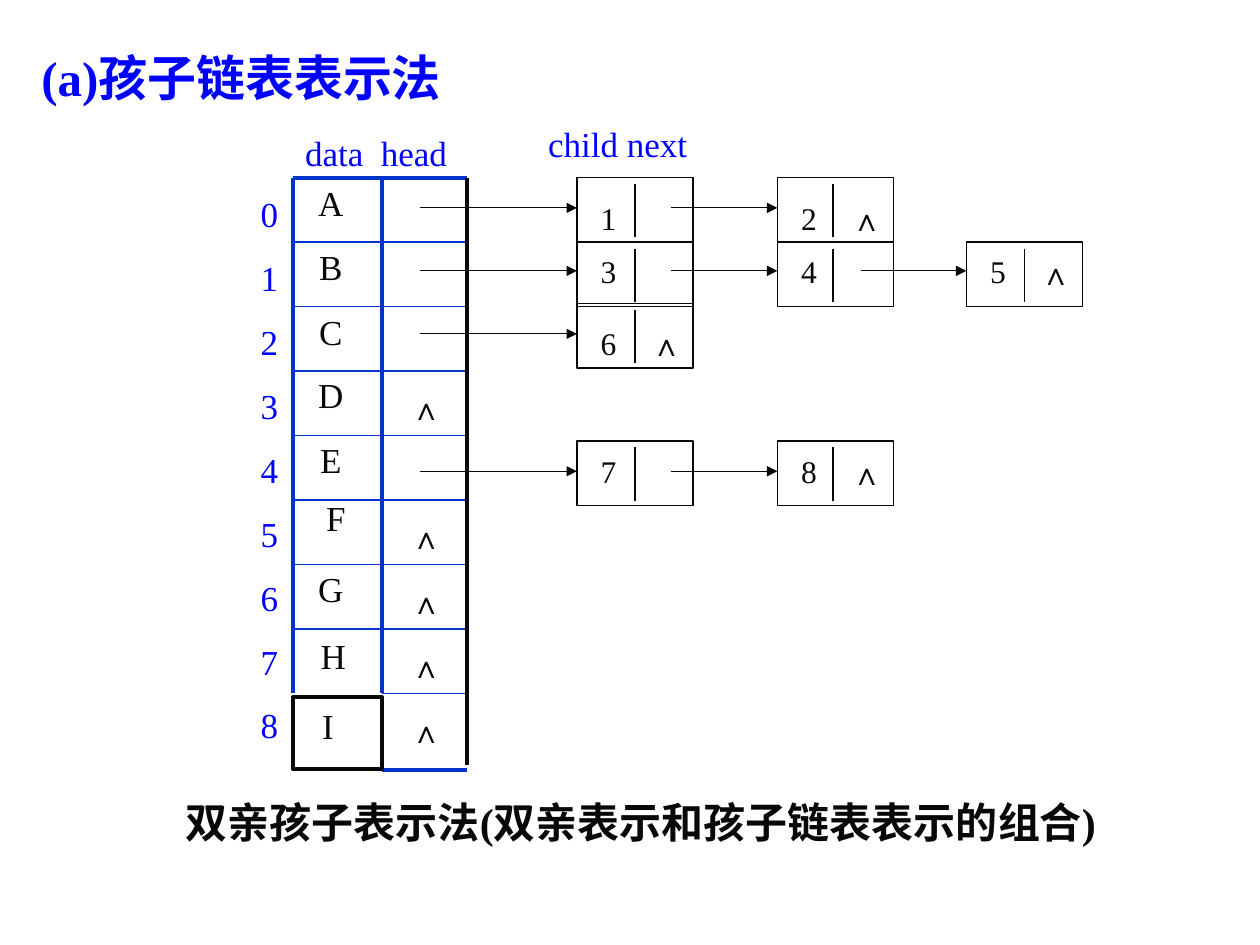
import lxml.etree
import pptx
import pptx.dml.color
import pptx.enum.shapes
import pptx.enum.text
import pptx.oxml.ns
import pptx.util

Cm, Pt = pptx.util.Cm, pptx.util.Pt
PP_ALIGN = pptx.enum.text.PP_ALIGN
BLUE, LINE_BLUE, BLACK = "0000FF", "0033CC", "080808"
THICK, MEDIUM, THIN = 2.25, 1, 0.75

TITLE = "(a)孩子链表表示法"
CAPTION = "双亲孩子表示法(双亲表示和孩子链表表示的组合)"
HEADINGS = [("data  head", 5.9, 2.52, 6.73), ("child next", 10.8, 2.34, 5.05)]
NULL = "∧"

# letter, horizontal and vertical shift from the usual place in its row
ENTRIES = [("A", 0, 0), ("B", 0, 0), ("C", 0, 0), ("D", 0, -0.03), ("E", 0, -0.02),
           ("F", 0.1, -0.14), ("G", 0, -0.02), ("H", 0.05, 0.03), ("I", -0.06, 0.15)]

# entry: children, node top, arrow height, shift of the text in the nodes
CHAINS = {
    0: (["1", "2"], 3.58, 4.19, 0.3),
    1: (["3", "4", "5"], 4.88, 5.46, 0.08),
    2: (["6"], 6.12, 6.73, 0.28),
    4: (["7", "8"], 8.89, 9.5, 0.1),
}
# node left, then divider and next pointer measured from it
NODE_PLACES = [(11.63, 1.17, 1.9), (15.67, 1.12, 1.68), (19.48, 1.17, 1.7)]

DATA_LEFT, HEAD_LEFT, HEAD_RIGHT = 5.9, 7.7, 9.42
ROWS_TOP, ROW_HEIGHT, ROWS_BOTTOM = 3.58, 1.3, 15.52
HEAD_POINTER = 8.46
NODE_WIDTH, NODE_HEIGHT = 2.34, 1.3


def colour(hex_code):
    return pptx.dml.color.RGBColor.from_string(hex_code)


def write(box, lines, size, hex_code, bold=False, align=PP_ALIGN.LEFT, wrap=True, before=0):
    """Fill a text box or placeholder and format every run."""
    frame = box.text_frame
    frame.text = "\n".join(lines)
    frame.word_wrap = wrap
    frame.auto_size = pptx.enum.text.MSO_AUTO_SIZE.NONE
    frame.vertical_anchor = pptx.enum.text.MSO_ANCHOR.TOP
    for paragraph in frame.paragraphs:
        paragraph.alignment = align
        paragraph.space_before = Pt(before)
        for run in paragraph.runs:
            run.font.name = "Times New Roman"
            run.font.size = Pt(size)
            run.font.bold = bold
            run.font.color.rgb = colour(hex_code)


def place(box, left, top, width, height):
    box.left, box.top, box.width, box.height = Cm(left), Cm(top), Cm(width), Cm(height)


def label(slide, text, left, top, width, height, size, hex_code=BLACK, **style):
    box = slide.shapes.add_textbox(Cm(left), Cm(top), Cm(width), Cm(height))
    write(box, [text], size, hex_code, **style)


def line(slide, x1, y1, x2, y2, hex_code, weight, arrow=False):
    connector = slide.shapes.add_connector(
        pptx.enum.shapes.MSO_CONNECTOR.STRAIGHT, Cm(x1), Cm(y1), Cm(x2), Cm(y2))
    connector.line.color.rgb = colour(hex_code)
    connector.line.width = Pt(weight)
    properties = connector._element.spPr
    if arrow:
        lxml.etree.SubElement(connector.line._get_or_add_ln(),
                              pptx.oxml.ns.qn("a:tailEnd"), type="triangle")
    lxml.etree.SubElement(properties, pptx.oxml.ns.qn("a:effectLst"))


def frame(slide, left, top, width, height, weight):
    box = slide.shapes.add_shape(pptx.enum.shapes.MSO_SHAPE.RECTANGLE,
                                 Cm(left), Cm(top), Cm(width), Cm(height))
    box.shadow.inherit = False
    box.fill.background()
    box.line.color.rgb = colour(BLACK)
    box.line.width = Pt(weight)


def row_top(row):
    return ROWS_TOP + row * ROW_HEIGHT


def draw_index_list(indices):
    place(indices, 5, 3.76, 0.9, 11.4)
    write(indices, [str(row) for row in range(len(ENTRIES))], 20, BLUE, before=12.5)
    for paragraph in indices.text_frame.paragraphs:
        properties = paragraph._p.get_or_add_pPr()
        properties.set("marL", "0")
        properties.set("indent", "0")
        lxml.etree.SubElement(properties, pptx.oxml.ns.qn("a:buNone"))


def draw_entries(slide):
    last = len(ENTRIES) - 1
    for left, right in ((DATA_LEFT, HEAD_LEFT), (HEAD_LEFT, HEAD_RIGHT)):
        line(slide, left, ROWS_TOP, right, ROWS_TOP, LINE_BLUE, THICK)
        for row in range(1, last + 1):
            if left == HEAD_LEFT or row < last:
                line(slide, left, row_top(row), right, row_top(row), LINE_BLUE, MEDIUM)
        line(slide, left, ROWS_TOP, left, row_top(last), LINE_BLUE, THICK)
    line(slide, HEAD_LEFT, ROWS_BOTTOM, HEAD_RIGHT, ROWS_BOTTOM, LINE_BLUE, THICK)
    line(slide, HEAD_RIGHT, ROWS_TOP, HEAD_RIGHT, 15.42, BLACK, THICK)
    frame(slide, DATA_LEFT, 14.05, HEAD_LEFT - DATA_LEFT, 1.45, THICK)
    for row, (letter, dx, dy) in enumerate(ENTRIES):
        label(slide, letter, 5.77 + dx, row_top(row) - 0.05 + dy, 1.8, 1.3, 20,
              align=PP_ALIGN.CENTER)
        if row not in CHAINS:
            label(slide, NULL, 8.03, row_top(row) + 0.24, 0.97, 1.02, 18)


def draw_chain(slide, children, top, arrow_y, text_shift):
    pointer = HEAD_POINTER
    for child, (left, divider, next_pointer) in zip(children, NODE_PLACES):
        frame(slide, left, top, NODE_WIDTH, NODE_HEIGHT, THIN)
        line(slide, left + divider, top + 0.13, left + divider, top + 1.2, BLACK, THIN)
        line(slide, pointer, arrow_y, left, arrow_y, BLACK, THIN, arrow=True)
        label(slide, child, left + 0.23, top + text_shift, 0.82, 1.02, 18)
        pointer = left + next_pointer
    label(slide, NULL, left + 1.24, top + text_shift + 0.03, 0.97, 1.02, 18)


def main():
    deck = pptx.Presentation()
    deck.slide_width, deck.slide_height = Cm(25.4), Cm(19.05)
    slide = deck.slides.add_slide(deck.slide_layouts[1])
    title, indices = slide.placeholders
    place(title, 0.58, 0.84, 8.79, 1.45)
    write(title, [TITLE], 28, BLUE, bold=True, wrap=False)
    draw_index_list(indices)
    for text, left, top, width in HEADINGS:
        label(slide, text, left, top, width, 1.12, 20, BLUE)
    draw_entries(slide)
    for chain in CHAINS.values():
        draw_chain(slide, *chain)
    label(slide, CAPTION, 3.5, 15.93, 19.4, 2.29, 24, bold=True)
    deck.save("out.pptx")


if __name__ == "__main__":
    main()
